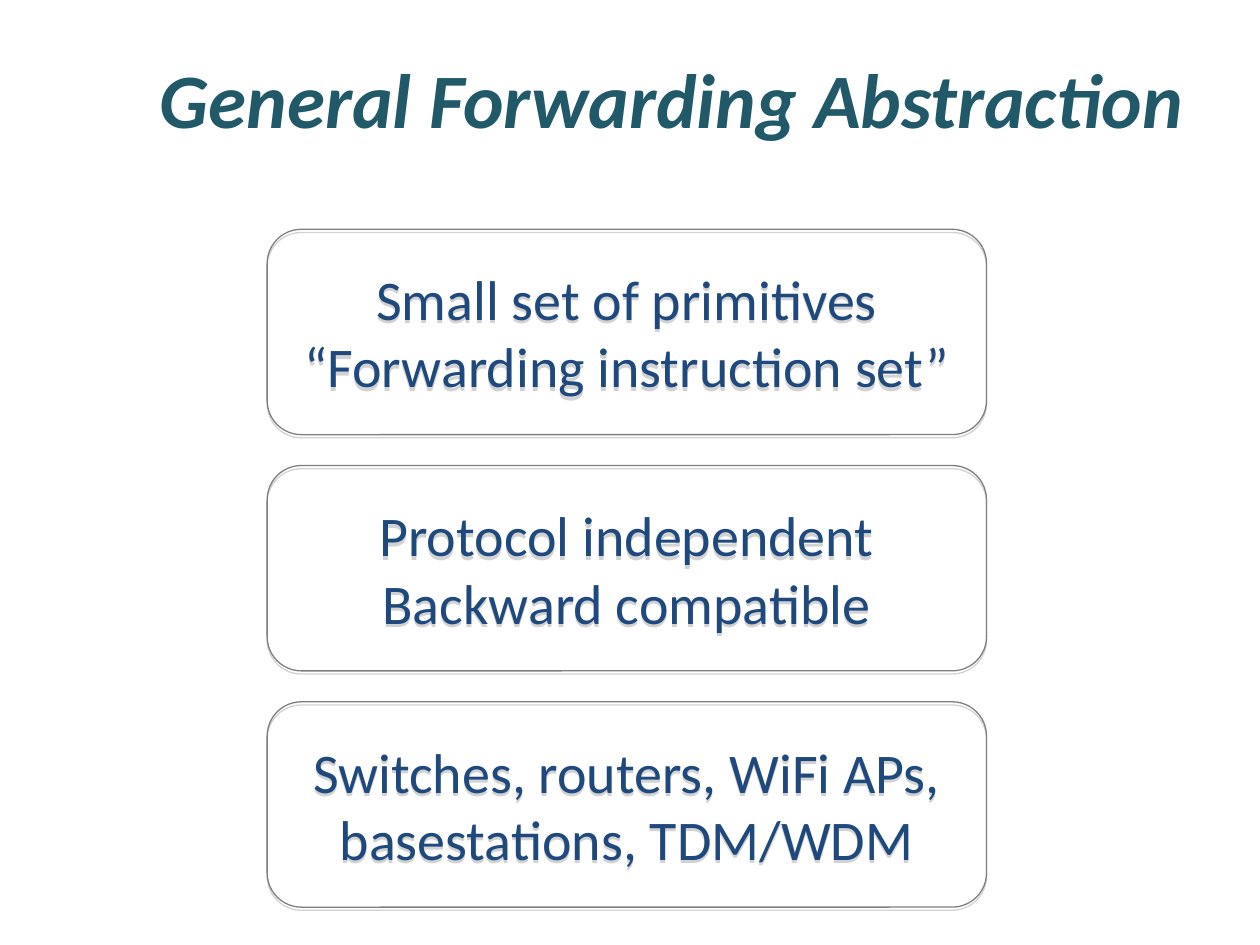
import pptx
import pptx.util
import pptx.dml.color
import pptx.enum.shapes
import pptx.enum.text
import pptx.oxml
import pptx.oxml.ns

Inches = pptx.util.Inches
Pt = pptx.util.Pt
Align = pptx.enum.text.PP_ALIGN
TEAL = pptx.dml.color.RGBColor(0x21, 0x59, 0x68)
NAVY = pptx.dml.color.RGBColor(0x1F, 0x49, 0x7D)
GREY = pptx.dml.color.RGBColor(0x7F, 0x7F, 0x7F)

SHADOW = (
    f'<a:outerShdw {pptx.oxml.ns.nsdecls("a")} blurRad="0" dist="{Pt(1.8)}" '
    'dir="5400000" rotWithShape="0"><a:srgbClr val="808080">'
    '<a:alpha val="35000"/></a:srgbClr></a:outerShdw>'
)

BOXES = [
    ["Small set of primitives", "“Forwarding instruction set”"],
    ["Protocol independent", "Backward compatible"],
    ["Switches, routers, WiFi APs, basestations, TDM/WDM"],
]
LEFT, TOP, WIDTH, HEIGHT = 2.12, 1.82, 5.71, 1.63
PITCH = 1.875


def write(frame, lines, size, color, align):
    """Fill a text frame, one paragraph a line, and return its runs."""
    frame.word_wrap = True
    frame.vertical_anchor = pptx.enum.text.MSO_ANCHOR.MIDDLE
    runs = []
    for i, line in enumerate(lines):
        para = frame.add_paragraph() if i else frame.paragraphs[0]
        para.alignment = align
        run = para.add_run()
        run.text = line
        run.font.name = "Calibri"
        run.font.size = Pt(size)
        run.font.color.rgb = color
        runs.append(run)
    return runs


deck = pptx.Presentation()
deck.slide_width, deck.slide_height = Inches(10), Inches(7.5)
slide = deck.slides.add_slide(deck.slide_layouts[6])

title = slide.shapes.add_textbox(Inches(0.5), Inches(0.3), Inches(9), Inches(0.95))
for run in write(title.text_frame, ["General Forwarding Abstraction"], 44, TEAL, Align.RIGHT):
    run.font.bold = True
    run.font.italic = True

for row, lines in enumerate(BOXES):
    box = slide.shapes.add_shape(
        pptx.enum.shapes.MSO_SHAPE.ROUNDED_RECTANGLE,
        Inches(LEFT), Inches(TOP + row * PITCH), Inches(WIDTH), Inches(HEIGHT))
    box.adjustments[0] = 0.167
    box.fill.background()
    box.line.color.rgb = GREY
    box.line.width = Pt(0.75)
    box.shadow.inherit = False
    effects = box.element.spPr.find(pptx.oxml.ns.qn("a:effectLst"))
    effects.append(pptx.oxml.parse_xml(SHADOW))
    write(box.text_frame, lines, 32, NAVY, Align.CENTER)

deck.save("out.pptx")
